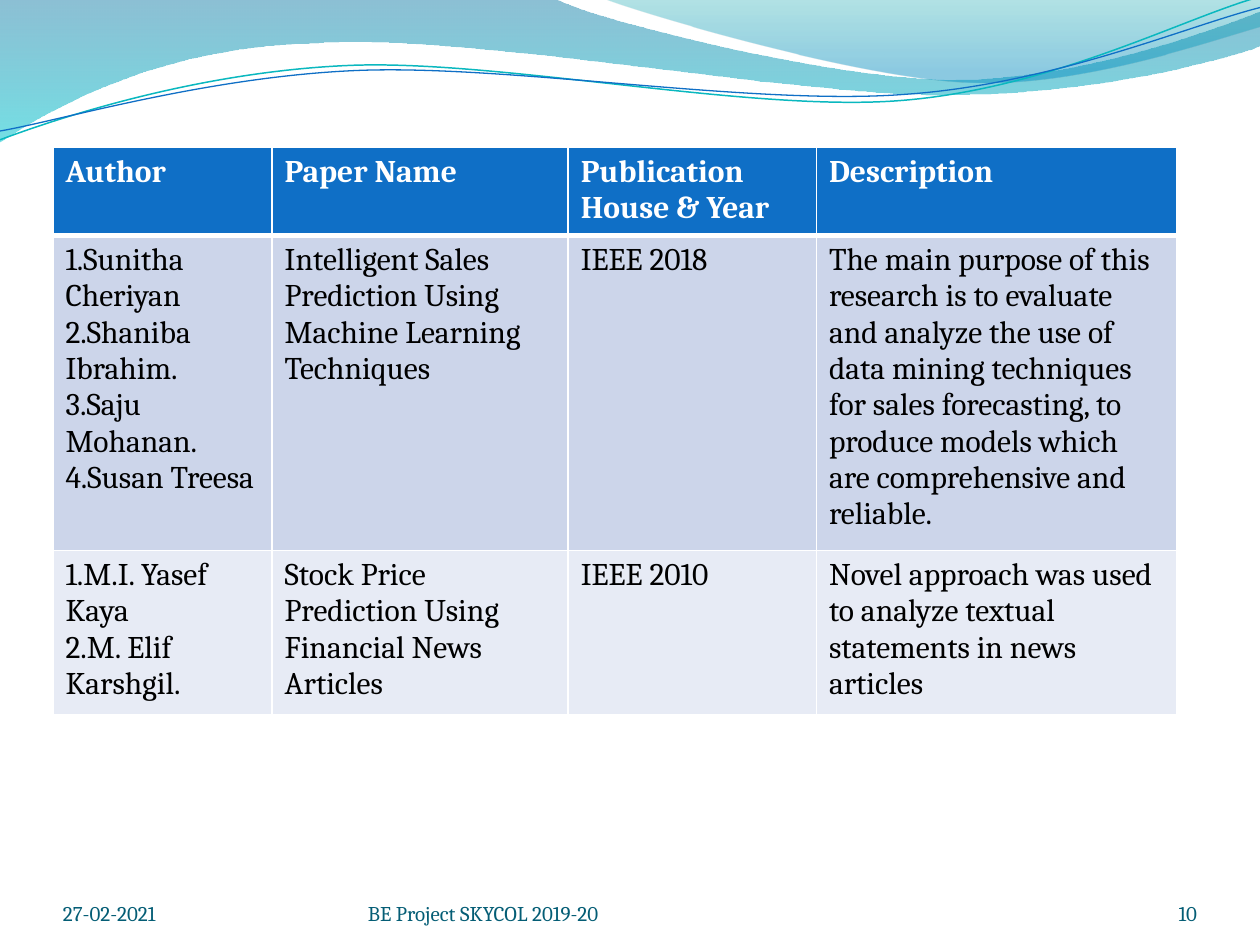
from dataclasses import dataclass
from typing import Optional

from lxml import etree
from pptx import Presentation
from pptx.dml.color import RGBColor
from pptx.enum.text import MSO_ANCHOR, PP_ALIGN
from pptx.oxml.ns import qn
from pptx.util import Inches, Pt

FONT = "Cambria"
WHITE = RGBColor(0xFF, 0xFF, 0xFF)
BLACK = RGBColor(0x00, 0x00, 0x00)
BLUE = RGBColor(0x0F, 0x6F, 0xC6)
TEAL = RGBColor(0x0A, 0xB8, 0xBF)
FOOTER_COLOR = RGBColor(0x04, 0x5D, 0x75)
BAND_DARK = RGBColor(0xCC, 0xD5, 0xEA)
BAND_LIGHT = RGBColor(0xE7, 0xEB, 0xF5)
DEEP_BLUE = RGBColor(0x00, 0x74, 0xA1)
AQUA = RGBColor(0x00, 0xC6, 0xCF)
GREEN_TEAL = RGBColor(0x00, 0xA1, 0xA9)
SKY = RGBColor(0x00, 0x8B, 0xBF)


@dataclass
class Stop:
    position: float
    color: RGBColor
    opacity: int  # percent


@dataclass
class Wave:
    start: tuple
    segments: list  # 2 numbers: straight line, 6 numbers: cubic curve
    stops: Optional[tuple] = None
    line: Optional[RGBColor] = None
    width: float = 0


@dataclass
class Footer:
    text: str
    left: float
    width: float
    align: PP_ALIGN = PP_ALIGN.LEFT


WAVES = [
    Wave((0, 0), [
        (4.4, -0.01),
        (4.76, 0.17, 6.64, 0.63, 7.58, 0.63),
        (8.53, 0.63, 9.58, 0.26, 10, 0.09),
        (10.01, 0.36),
        (9.83, 0.44, 8.7, 0.76, 7.46, 0.75),
        (6.22, 0.75, 3.82, 0.28, 2.57, 0.34),
        (1.29, 0.36, 0.46, 0.83, -0.01, 1.13),
    ], stops=(Stop(0, DEEP_BLUE, 45), Stop(1, AQUA, 55))),
    Wave((4.79, -0.01), [
        (5.09, 0.11, 6.82, 0.62, 7.69, 0.65),
        (8.56, 0.69, 9.61, 0.32, 10, 0.21),
        (10, 0),
    ], stops=(Stop(0, GREEN_TEAL, 30), Stop(0.8, SKY, 45))),
    Wave((0, 1.11), [
        (0.48, 0.93, 1.58, 0.57, 2.77, 0.52),
        (3.95, 0.47, 5.93, 0.89, 7.13, 0.8),
        (8.33, 0.71, 9.38, 0.15, 9.98, -0.02),
    ], line=TEAL, width=0.85),
    Wave((0, 1.04), [
        (0.47, 0.96, 1.64, 0.61, 2.83, 0.56),
        (4.03, 0.51, 5.97, 0.84, 7.17, 0.75),
        (8.36, 0.67, 9.41, 0.21, 10, 0.06),
    ], line=BLUE, width=0.75),
]

FOOTERS = [
    Footer("27-02-2021", 0.5, 2.33),
    Footer("BE Project SKYCOL 2019-20", 2.92, 3.67),
    Footer("10", 8.67, 0.83, PP_ALIGN.RIGHT),
]

COLUMN_WIDTHS = [1.74, 2.35, 1.97, 2.86]
ROW_HEIGHTS = [0.69, 2.5, 1.29]
ROW_FILLS = [BLUE, BAND_DARK, BAND_LIGHT]
PAPERS = [
    ["Author", "Paper Name", "Publication House & Year", "Description"],
    ["1.Sunitha Cheriyan\n2.Shaniba Ibrahim.\n3.Saju Mohanan.\n4.Susan Treesa",
     "Intelligent Sales Prediction Using Machine Learning Techniques",
     "IEEE 2018",
     "The main purpose of this research is to evaluate and analyze the use of "
     "data mining techniques for sales forecasting, to produce models which "
     "are comprehensive and reliable."],
    ["1.M.I. Yasef Kaya\n2.M. Elif Karshgil.",
     "Stock Price Prediction Using Financial News Articles",
     "IEEE 2010",
     "Novel approach was used to analyze textual statements in news articles"],
]


def emu_points(numbers: tuple) -> list:
    """Pair up x and y values given in inches."""
    return [(Inches(x), Inches(y)) for x, y in zip(numbers[::2], numbers[1::2])]


def curve_segments(sp, segments: list) -> None:
    """Turn each run of three line steps that stands for a curve into a Bezier."""
    steps = iter(list(sp.element.spPr.iter(qn("a:lnTo"))))
    for seg in segments:
        group = [next(steps) for _ in range(len(seg) // 2)]
        if len(group) == 3:
            curve = etree.Element(qn("a:cubicBezTo"))
            group[0].addprevious(curve)
            for step in group:
                curve.append(step[0])
                step.getparent().remove(step)


def draw_wave(s, wave: Wave) -> None:
    start_x, start_y = emu_points(wave.start)[0]
    builder = s.shapes.build_freeform(start_x, start_y)
    for seg in wave.segments:
        builder.add_line_segments(emu_points(seg), close=False)
    if wave.stops:
        builder.add_line_segments([], close=True)
    sp = builder.convert_to_shape()
    curve_segments(sp, wave.segments)
    sp.shadow.inherit = False
    if wave.stops is None:
        sp.fill.background()
        sp.line.color.rgb = wave.line
        sp.line.width = Pt(wave.width)
        return
    sp.line.fill.background()
    sp.fill.gradient()
    sp.fill.gradient_angle = 270
    for target, stop in zip(sp.fill.gradient_stops, wave.stops):
        target.position = stop.position
        target.color.rgb = stop.color
    for clr, stop in zip(sp.element.spPr.iter(qn("a:srgbClr")), wave.stops):
        etree.SubElement(clr, qn("a:alpha"), val=str(stop.opacity * 1000))


def add_run(p, text: str, size: float, color: RGBColor, bold: bool = False) -> None:
    r = p.add_run()
    r.text = text
    r.font.name = FONT
    r.font.size = Pt(size)
    r.font.bold = bold
    r.font.color.rgb = color


def draw_footer(s, footer: Footer) -> None:
    box = s.shapes.add_textbox(Inches(footer.left), Inches(6.95),
                               Inches(footer.width), Inches(0.4))
    tf = box.text_frame
    tf.word_wrap = True
    tf.vertical_anchor = MSO_ANCHOR.BOTTOM
    tf.margin_left = tf.margin_right = tf.margin_top = tf.margin_bottom = 0
    p = tf.paragraphs[0]
    p.alignment = footer.align
    add_run(p, footer.text, 12, FOOTER_COLOR)


def set_borders(cell, top: float, bottom: float) -> None:
    tc_pr = cell._tc.get_or_add_tcPr()
    sides = (("L", 1), ("R", 1), ("T", top), ("B", bottom))
    for i, (side, width) in enumerate(sides):
        ln = etree.Element(qn(f"a:ln{side}"), w=str(Pt(width)))
        fill = etree.SubElement(ln, qn("a:solidFill"))
        etree.SubElement(fill, qn("a:srgbClr"), val=str(WHITE))
        tc_pr.insert(i, ln)


def draw_table(s) -> None:
    frame = s.shapes.add_table(len(PAPERS), len(COLUMN_WIDTHS), Inches(0.42), Inches(1.17),
                               Inches(sum(COLUMN_WIDTHS)), Inches(sum(ROW_HEIGHTS)))
    table = frame.table
    for column, width in zip(table.columns, COLUMN_WIDTHS):
        column.width = Inches(width)
    for i, texts in enumerate(PAPERS):
        table.rows[i].height = Inches(ROW_HEIGHTS[i])
        header = i == 0
        for j, text in enumerate(texts):
            cell = table.cell(i, j)
            cell.fill.solid()
            cell.fill.fore_color.rgb = ROW_FILLS[i]
            set_borders(cell, top=3 if i == 1 else 1, bottom=3 if header else 1)
            tf = cell.text_frame
            for k, line in enumerate(text.split("\n")):
                p = tf.add_paragraph() if k else tf.paragraphs[0]
                add_run(p, line, 18, WHITE if header else BLACK, header)


def main() -> None:
    prs = Presentation()
    prs.slide_width, prs.slide_height = Inches(10), Inches(7.5)
    s = prs.slides.add_slide(prs.slide_layouts[6])
    # Wave decoration along the top
    for wave in WAVES:
        draw_wave(s, wave)
    # Date, project and page number
    for footer in FOOTERS:
        draw_footer(s, footer)
    # Literature survey
    draw_table(s)
    prs.save("out.pptx")


if __name__ == "__main__":
    main()
